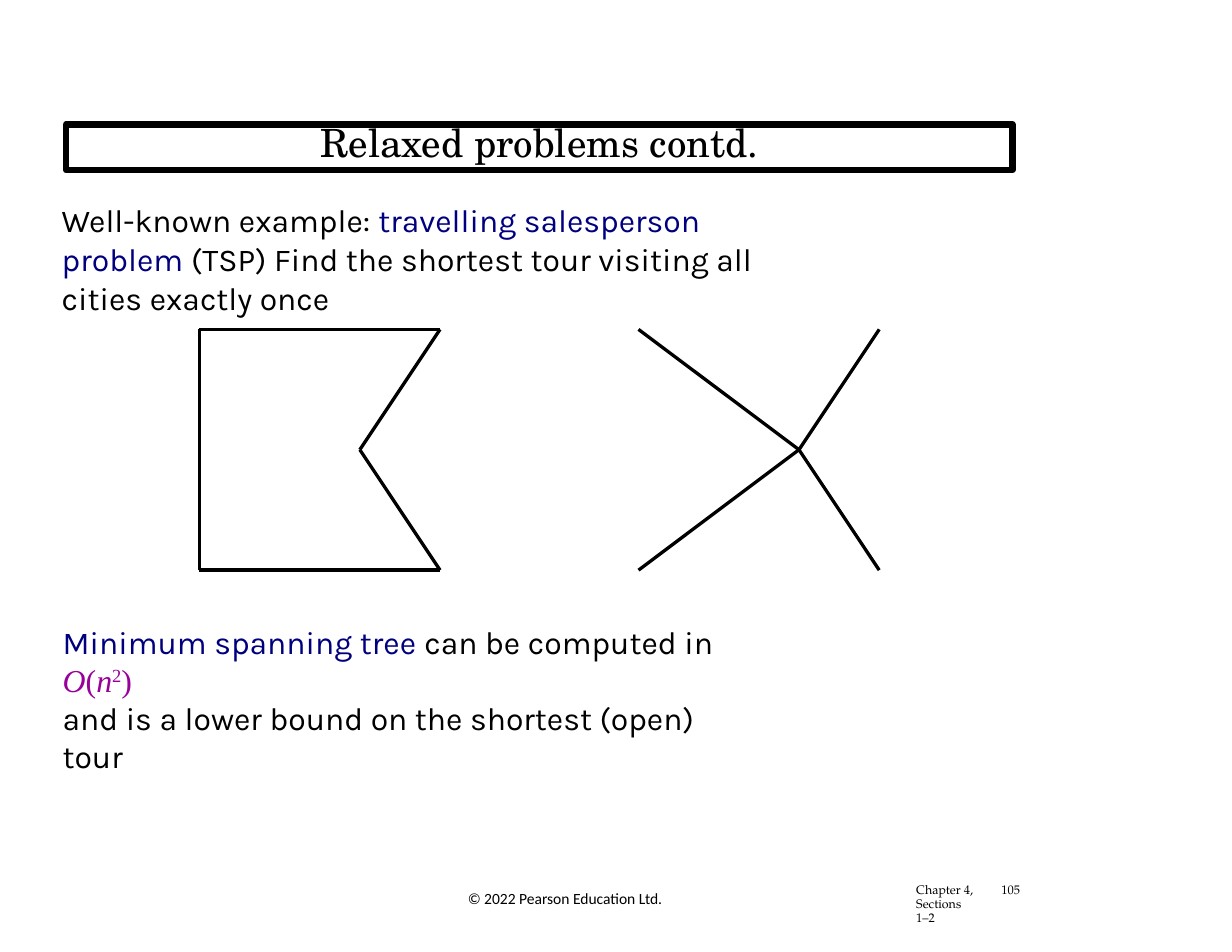
from dataclasses import dataclass

from lxml import etree
from pptx import Presentation
from pptx.dml.color import RGBColor
from pptx.enum import shapes, text
from pptx.oxml import ns
from pptx.util import Cm, Pt


@dataclass(frozen=True)
class Theme:
    black: RGBColor = RGBColor(0, 0, 0)
    navy: RGBColor = RGBColor(0, 0, 0x7E)
    purple: RGBColor = RGBColor(0x99, 0, 0x99)
    title_font: str = "TeX Gyre Schola"
    body_font: str = "Karla"
    math_font: str = "Times New Roman"
    note_font: str = "TeX Gyre Pagella"
    footer_font: str = "Calibri"
    title: float = 25
    body: float = 20.5
    footer: float = 10
    note: float = 8
    frame: float = 4.08
    edge: float = 2.14


THEME = Theme()


def set_frame(tf, left=0.0, top=0.0, right=0.0, bottom=0.0):
    tf.word_wrap = True
    tf.auto_size = text.MSO_AUTO_SIZE.NONE
    tf.vertical_anchor = text.MSO_ANCHOR.TOP
    tf.margin_left, tf.margin_top = Cm(left), Cm(top)
    tf.margin_right, tf.margin_bottom = Cm(right), Cm(bottom)


def style(p, font, size, color=THEME.black, spacing=None):
    p.font.name, p.font.size, p.font.color.rgb = font, Pt(size), color
    p.line_spacing = spacing


def add_title(s, words):
    sp = s.shapes.title
    sp.left, sp.top, sp.width, sp.height = Cm(1.5), Cm(2.82), Cm(21.46), Cm(1.04)
    sp.line.color.rgb, sp.line.width = THEME.black, Pt(THEME.frame)
    set_frame(sp.text_frame)
    p = sp.text_frame.paragraphs[0]
    p.text = words
    p.alignment = text.PP_ALIGN.CENTER
    style(p, THEME.title_font, THEME.title, spacing=Pt(26.4))


def add_text(s, x, y, width, height, **margins):
    box = s.shapes.add_textbox(Cm(x), Cm(y), Cm(width), Cm(height))
    set_frame(box.text_frame, **margins)
    return box.text_frame


def add_run(p, words, color=None, font=None, italic=None):
    r = p.add_run()
    r.text = words
    r.font.name, r.font.italic = font, italic
    if color is not None:
        r.font.color.rgb = color
    return r


def add_label(tf, words, font, size, spacing=None):
    p = tf.paragraphs[0]
    p.text = words
    style(p, font, size, spacing=spacing)


def add_graph(s, left, edges):
    """Join pairs of the five cities, four on a square and one inside it."""
    top, side = 7.47, 5.46
    cities = {"nw": (0, 0), "ne": (1, 0), "sw": (0, 1), "se": (1, 1),
              "inner": (2 / 3, 1 / 2)}
    group = s.shapes.add_group_shape()
    for pair in edges:
        ends = [Cm(start + side * part) for city in pair
                for start, part in zip((left, top), cities[city])]
        line = group.shapes.add_connector(shapes.MSO_CONNECTOR.STRAIGHT, *ends)
        line.line.color.rgb, line.line.width = THEME.black, Pt(THEME.edge)
        etree.SubElement(line._element.spPr, ns.qn("a:effectLst"))


def add_example(s):
    tf = add_text(s, 1.37, 4.5, 17, 2.62, left=0.03, top=0.05)
    p = tf.paragraphs[0]
    style(p, THEME.body_font, THEME.body, spacing=1.01)
    add_run(p, "Well-known example: ")
    add_run(p, "travelling salesperson problem ", THEME.navy)
    add_run(p, "(TSP) Find the shortest tour visiting all cities exactly once")


def add_bound(s):
    tf = add_text(s, 1.32, 14.02, 14.88, 3.56, left=0.1, top=0.09)
    p = tf.paragraphs[0]
    style(p, THEME.body_font, THEME.body)
    add_run(p, "Minimum spanning tree ", THEME.navy)
    add_run(p, "can be computed in ")
    for words, italic in (("O", True), ("(", False), ("n", True),
                          ("2", False), (")", False)):
        r = add_run(p, words, THEME.purple, THEME.math_font, italic)
        if words == "2":
            r._r.get_or_add_rPr().set("baseline", "30000")
    p = tf.add_paragraph()
    style(p, THEME.body_font, THEME.body)
    add_run(p, "and is a lower bound on the shortest (open) tour")


def add_footer(s):
    y = 20.04
    tf = add_text(s, 10.36, y, 9.53, 1.12,
                  left=0.25, top=0.13, right=0.25, bottom=0.13)
    add_label(tf, "© 2022 Pearson Education Ltd.", THEME.footer_font, THEME.footer)
    tf = add_text(s, 20.75, y, 1.37, 0.97, left=0.03)
    add_label(tf, "Chapter 4, Sections 1–2", THEME.note_font, THEME.note, Pt(8.8))
    tf = add_text(s, 22.61, y, 0.56, 0.33, left=0.1)
    add_label(tf, "105", THEME.note_font, THEME.note, Pt(8.8))


def main():
    prs = Presentation()
    prs.slide_width, prs.slide_height = Cm(27.94), Cm(21.59)
    s = prs.slides.add_slide(prs.slide_layouts.get_by_name("Title Only"))
    add_title(s, "Relaxed problems contd.")
    add_example(s)
    tour = ["nw", "ne", "inner", "se", "sw", "nw"]
    add_graph(s, 4.52, zip(tour, tour[1:]))
    add_graph(s, 14.48, [(c, "inner") for c in ("nw", "ne", "sw", "se")])
    add_bound(s)
    add_footer(s)
    prs.save("out.pptx")


if __name__ == "__main__":
    main()
